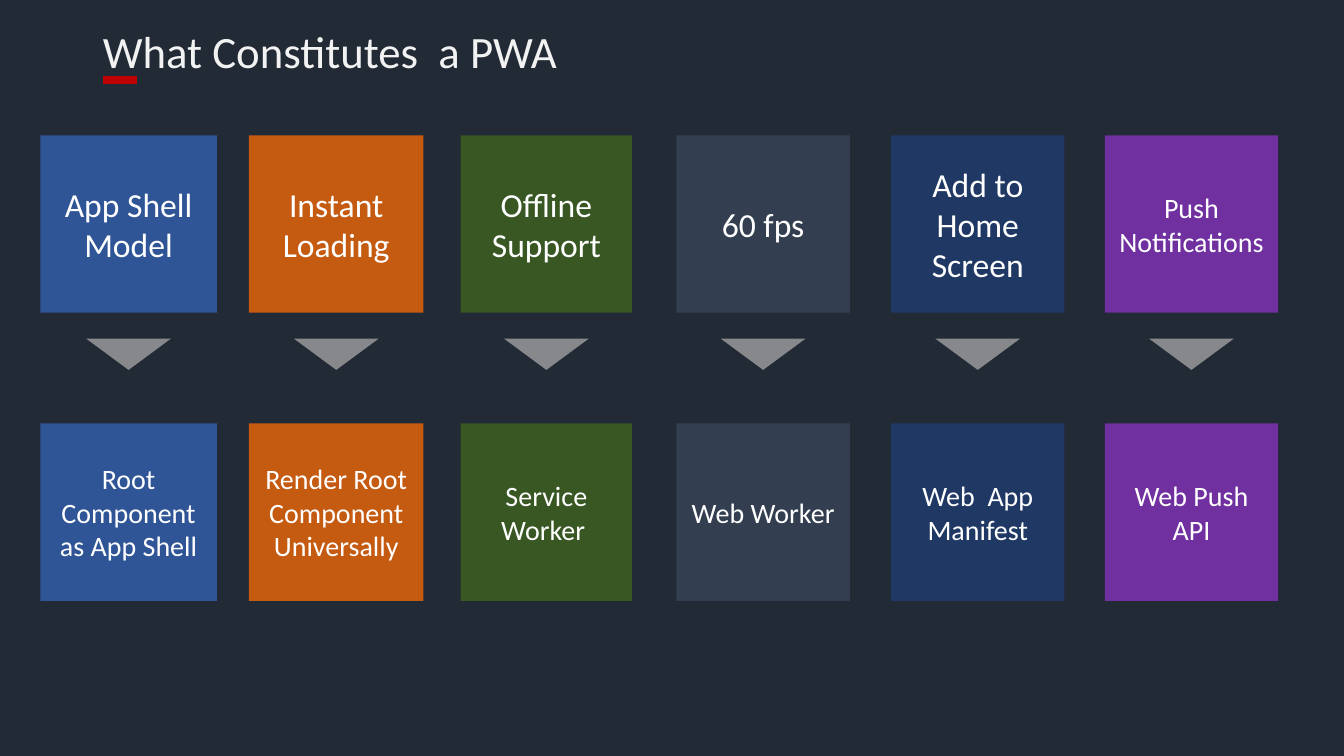
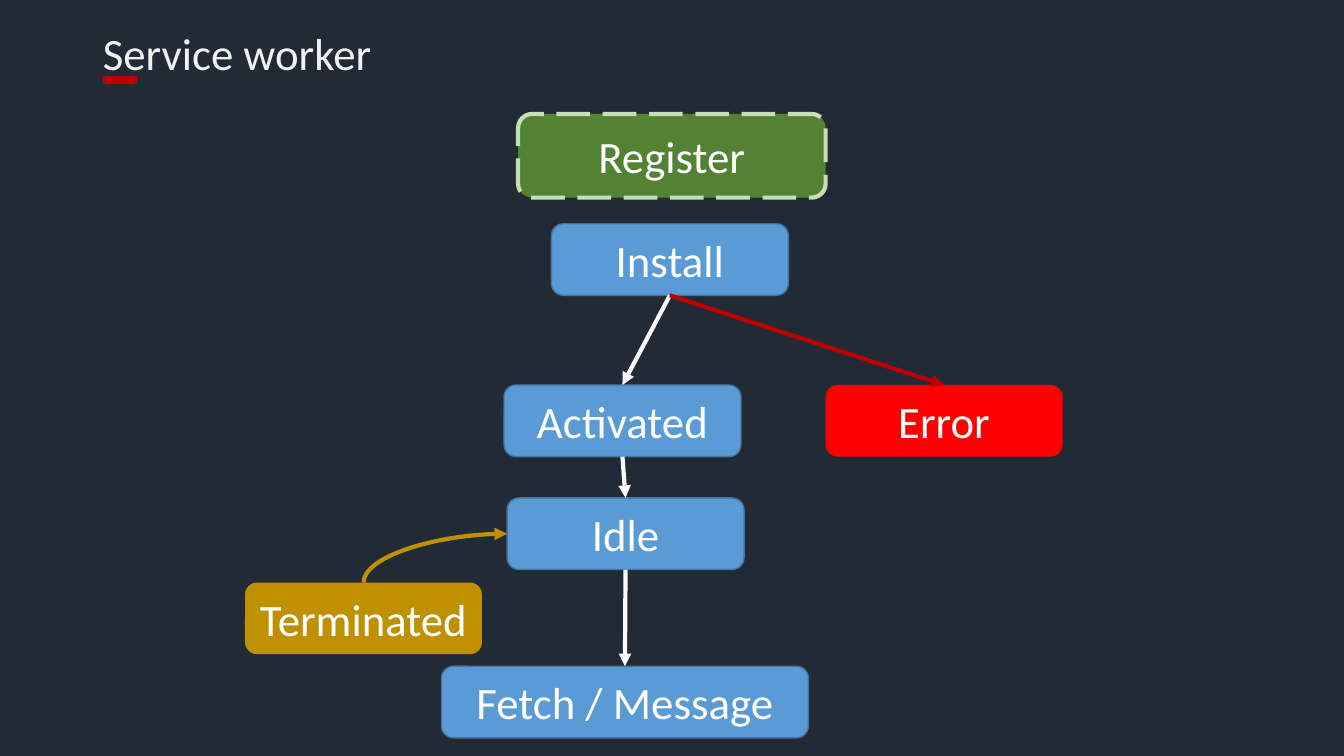
from dataclasses import dataclass

import lxml.etree
import pptx
import pptx.dml.color
import pptx.enum.dml
import pptx.enum.shapes
import pptx.enum.text
import pptx.oxml.ns
import pptx.util

SHAPE = pptx.enum.shapes.MSO_SHAPE
LINK = pptx.enum.shapes.MSO_CONNECTOR
DASH = pptx.enum.dml.MSO_LINE
ALIGN = pptx.enum.text.PP_ALIGN
ANCHOR = pptx.enum.text.MSO_ANCHOR

WIDE = pptx.util.Inches(13.333)
HIGH = pptx.util.Inches(7.5)
FONT = "Calibri"
TOP, LEFT, BOTTOM = 0, 1, 2  # connection sites of a rounded box

COLORS = {
    "back": "222A35", "title": "F2F2F2", "accent": "C00000", "text": "FFFFFF",
    "blue": "2F5597", "orange": "C55A11", "green": "385723",
    "slate": "333F50", "navy": "203864", "purple": "7030A0",
    "marker": "86888B", "state": "5B9BD5", "edge": "43739E", "flow": "FAFAFA",
    "error": "FF0000", "gold": "BF9000", "start": "548235", "dash": "C5E0B4",
}


@dataclass
class Pillar:
    """A feature and its technique; left and width in percent of the slide."""
    left: float
    width: float
    color: str
    goal: str
    means: str
    size: int = 24


@dataclass
class State:
    """A box of the flow; lengths in percent of the slide."""
    name: str
    left: float
    top: float
    width: float = 17.63
    height: float = 9.47
    color: str = "state"
    edge: str = ""
    weight: float = 1
    dash: bool = False


@dataclass
class Step:
    """An arrow between two states."""
    start: str
    end: str
    color: str = "flow"
    curved: bool = False


GOAL_ROW, MARK_ROW, MEANS_ROW = 17.9, 44.8, 56
BOX_HIGH = 23.47
MARK_WIDE, MARK_HIGH = 6.3, 4.13

PILLARS = [
    Pillar(3, 13.13, "blue", "App Shell Model", "Root Component as App Shell"),
    Pillar(18.53, 12.98, "orange", "Instant Loading",
           "Render Root\vComponent Universally"),
    Pillar(34.28, 12.75, "green", "Offline Support", "Service Worker "),
    Pillar(50.33, 12.9, "slate", "60 fps", "Web Worker"),
    Pillar(66.3, 12.9, "navy", "Add to Home Screen", "Web  App Manifest"),
    Pillar(82.2, 12.9, "purple", "Push Notifications", "Web Push API", 20),
]

STATES = [
    State("Install", 41.03, 29.6, edge="edge"),
    State("Activated", 37.5, 50.93, edge="edge"),
    State("Idle", 37.73, 65.87, edge="edge"),
    State("Terminated", 18.23, 77.07, color="gold"),
    State("Fetch / Message", 32.85, 88.13, 27.3, edge="edge"),
    State("Error", 61.43, 50.93, color="error"),
    State("Register", 38.55, 15.07, 22.88, 11.07, "start", "dash", 3, True),
]

STEPS = [
    Step("Install", "Activated"),
    Step("Activated", "Idle"),
    Step("Idle", "Fetch / Message"),
    Step("Terminated", "Idle", "gold", True),
    Step("Install", "Error", "accent"),
]


def rgb(name: str):
    return pptx.dml.color.RGBColor.from_string(COLORS[name])


def across(share: float) -> int:
    return round(WIDE * share / 100)


def down(share: float) -> int:
    return round(HIGH * share / 100)


def place(left: float, top: float, width: float, height: float) -> tuple:
    """Turn percentages of the slide into lengths."""
    return across(left), down(top), across(width), down(height)


def style(par, size: int, color: str) -> None:
    par.font.name = FONT
    par.font.size = pptx.util.Pt(size)
    par.font.color.rgb = rgb(color)


def add_box(slide, kind, spot: tuple, color: str, text: str = "",
            size: int = 20):
    box = slide.shapes.add_shape(kind, *spot)
    box.shadow.inherit = False
    box.fill.solid()
    box.fill.fore_color.rgb = rgb(color)
    box.line.fill.background()
    if text:
        frame = box.text_frame
        frame.text = text
        frame.word_wrap = True
        frame.vertical_anchor = ANCHOR.MIDDLE
        par = frame.paragraphs[0]
        par.alignment = ALIGN.CENTER
        style(par, size, "text")
    return box


def add_line(slide, kind, ends: tuple, color: str, weight: float):
    line = slide.shapes.add_connector(kind, *ends)
    line.line.color.rgb = rgb(color)
    line.line.width = pptx.util.Pt(weight)
    lxml.etree.SubElement(line._element.spPr, pptx.oxml.ns.qn("a:effectLst"))
    return line


def set_theme(deck):
    """Give the title layout its background and accent line."""
    layout = deck.slide_layouts[5]
    layout.background.fill.solid()
    layout.background.fill.fore_color.rgb = rgb("back")
    return layout


def add_slide(deck, layout, title: str, top: float):
    slide = deck.slides.add_slide(layout)
    head = slide.shapes.title
    head.left, head.top, head.width, head.height = place(6.9, top, 86.25, 11.07)
    head.text_frame.text = title
    head.text_frame.vertical_anchor = ANCHOR.MIDDLE
    par = head.text_frame.paragraphs[0]
    par.alignment = ALIGN.LEFT
    par.line_spacing = 0.9
    style(par, 32, "title")
    y = down(10.53)
    mark = add_line(slide, LINK.STRAIGHT, (across(7.65), y, across(10.2), y),
                    "accent", 5.75)
    slide.shapes._spTree.insert(2, mark._element)
    return slide


def add_pillar(slide, item: Pillar) -> None:
    rows = [(GOAL_ROW, item.goal, item.size), (MEANS_ROW, item.means, 20)]
    for top, text, size in rows:
        spot = place(item.left, top, item.width, BOX_HIGH)
        add_box(slide, SHAPE.RECTANGLE, spot, item.color, text, size)
    left = item.left + (item.width - MARK_WIDE) / 2
    mark = add_box(slide, SHAPE.ISOSCELES_TRIANGLE,
                   place(left, MARK_ROW, MARK_WIDE, MARK_HIGH), "marker")
    mark.rotation = 180


def add_state(slide, item: State):
    spot = place(item.left, item.top, item.width, item.height)
    box = add_box(slide, SHAPE.ROUNDED_RECTANGLE, spot, item.color, item.name, 32)
    if item.edge:
        box.line.color.rgb = rgb(item.edge)
        box.line.width = pptx.util.Pt(item.weight)
    if item.dash:
        box.line.dash_style = DASH.LONG_DASH
    return box


def bend(line) -> None:
    """Make a connector leave upwards and arrive rightwards in one curve."""
    wide, high = line.width, line.height
    mid_x, mid_y = line.left + wide // 2, line.top + high // 2
    line.left, line.top = mid_x - high // 2, mid_y - wide // 2
    line.width, line.height = high, wide
    props = line._element.spPr
    props.find(pptx.oxml.ns.qn("a:prstGeom")).set("prst", "curvedConnector2")
    frame = props.find(pptx.oxml.ns.qn("a:xfrm"))
    for key, value in (("rot", "5400000"), ("flipH", "1"), ("flipV", "1")):
        frame.set(key, value)


def add_step(slide, item: Step, boxes: dict) -> None:
    kind = LINK.CURVE if item.curved else LINK.STRAIGHT
    line = add_line(slide, kind, (0, 0, 0, 0), item.color, 3)
    outline = line.line._get_or_add_ln()
    lxml.etree.SubElement(outline, pptx.oxml.ns.qn("a:tailEnd"), type="triangle")
    line.begin_connect(boxes[item.start], TOP if item.curved else BOTTOM)
    line.end_connect(boxes[item.end], LEFT if item.curved else TOP)
    if item.curved:
        bend(line)


def main() -> None:
    deck = pptx.Presentation()
    deck.slide_width, deck.slide_height = WIDE, HIGH
    layout = set_theme(deck)

    slide = add_slide(deck, layout, "What Constitutes  a PWA", 1.6)
    for pillar in PILLARS:
        add_pillar(slide, pillar)

    slide = add_slide(deck, layout, "Service worker", 1.87)
    boxes = {state.name: add_state(slide, state) for state in STATES}
    for step in STEPS:
        add_step(slide, step, boxes)

    deck.save("out.pptx")


if __name__ == "__main__":
    main()
